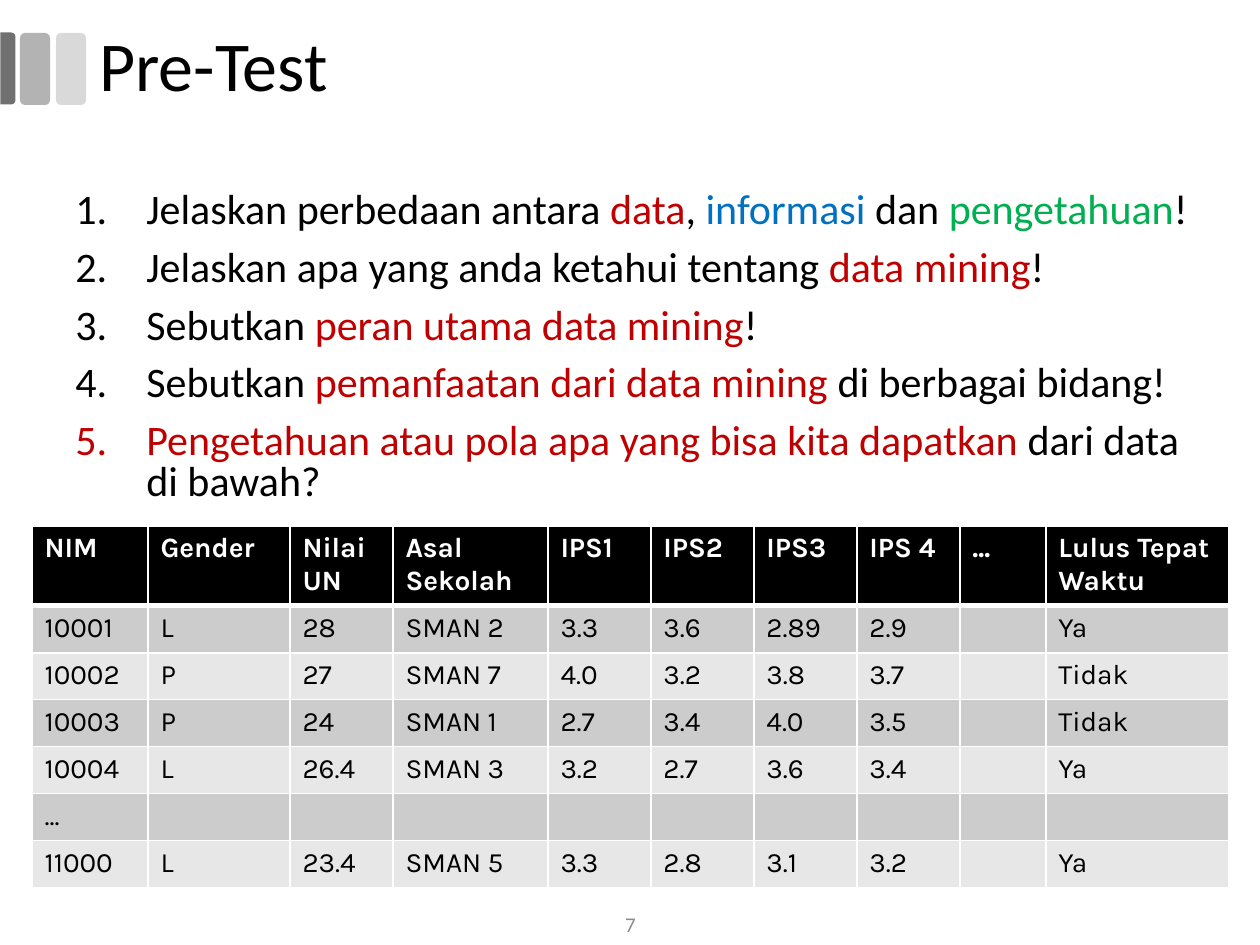
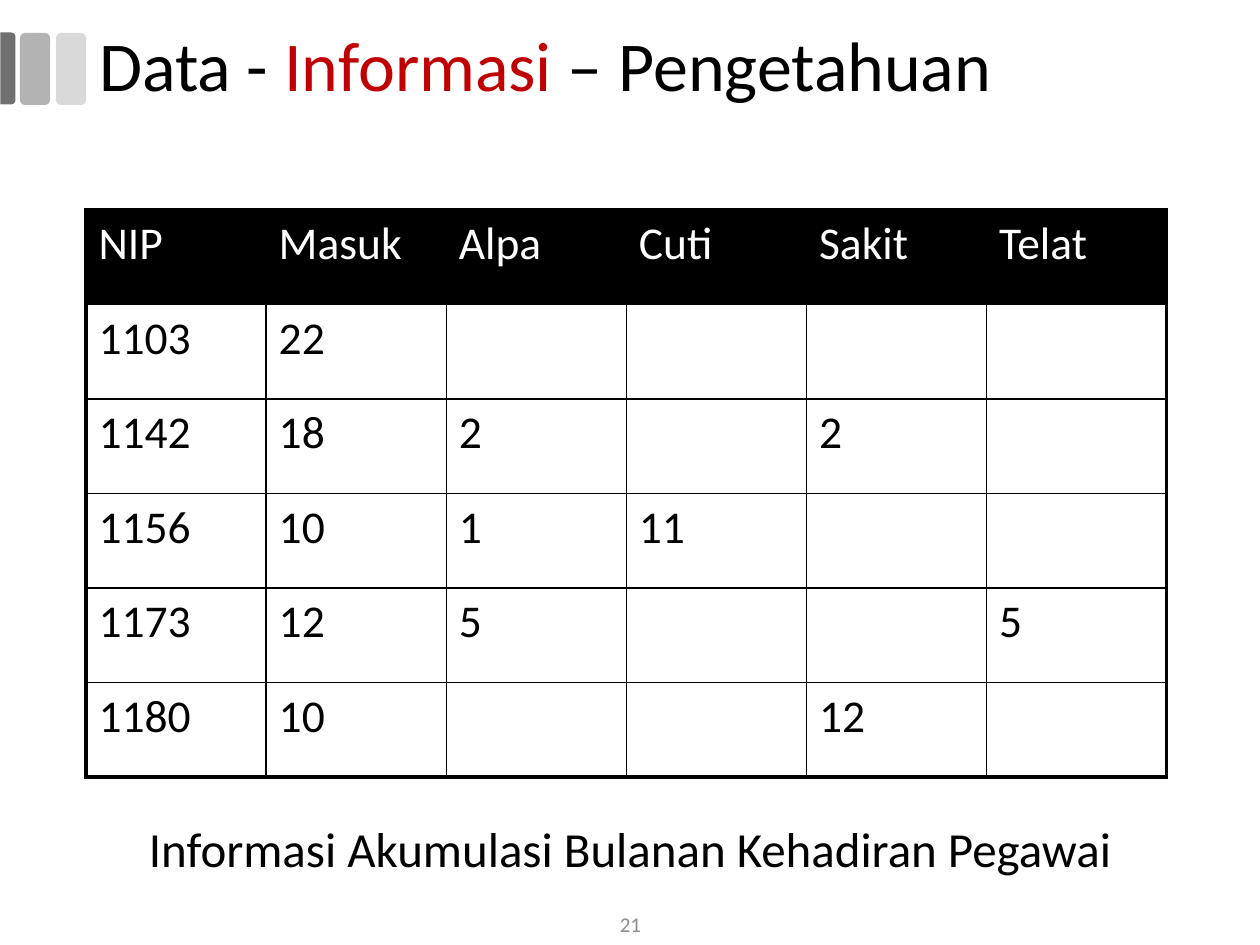
"""Build two lecture slides: a data mining pre-test and an attendance summary."""
from lxml import etree
from pptx import Presentation
from pptx.dml.color import RGBColor
from pptx.enum.shapes import MSO_SHAPE
from pptx.enum.text import MSO_ANCHOR, PP_ALIGN
from pptx.oxml.ns import qn
from pptx.util import Emu, Pt

BLACK = RGBColor(0x00, 0x00, 0x00)
WHITE = RGBColor(0xFF, 0xFF, 0xFF)
RED = RGBColor(0xC0, 0x00, 0x00)
BLUE = RGBColor(0x00, 0x70, 0xC0)
GREEN = RGBColor(0x00, 0xB0, 0x50)
FOOTER_GRAY = RGBColor(0x8C, 0x8C, 0x8C)
BAND_DARK = RGBColor(0xCC, 0xCC, 0xCC)
BAND_LIGHT = RGBColor(0xE7, 0xE7, 0xE7)
TAB_LIGHT = RGBColor(0xD9, 0xD9, 0xD9)
TAB_MIDDLE = RGBColor(0xB3, 0xB3, 0xB3)
TAB_DARK = RGBColor(0x70, 0x70, 0x70)

PRETEST_TITLE = ["Pre-Test"]
QUESTIONS = [
    ["Jelaskan perbedaan antara ", ("data", RED), ", ", ("informasi ", BLUE),
     "dan ", ("pengetahuan", GREEN), "!"],
    ["Jelaskan apa yang anda ketahui tentang ", ("data mining", RED), "!"],
    ["Sebutkan ", ("peran utama data mining", RED), "!"],
    ["Sebutkan ", ("pemanfaatan dari data mining ", RED), "di berbagai bidang!"],
    [("Pengetahuan atau pola apa yang bisa kita dapatkan ", RED),
     "dari data di bawah?"],
]
STUDENTS = [
    ["NIM", "Gender", "Nilai UN", "Asal Sekolah", "IPS1", "IPS2", "IPS3",
     "IPS 4", "...", "Lulus Tepat Waktu"],
    ["10001", "L", "28", "SMAN 2", "3.3", "3.6", "2.89", "2.9", "", "Ya"],
    ["10002", "P", "27", "SMAN 7", "4.0", "3.2", "3.8", "3.7", "", "Tidak"],
    ["10003", "P", "24", "SMAN 1", "2.7", "3.4", "4.0", "3.5", "", "Tidak"],
    ["10004", "L", "26.4", "SMAN 3", "3.2", "2.7", "3.6", "3.4", "", "Ya"],
    ["...", "", "", "", "", "", "", "", "", ""],
    ["11000", "L", "23.4", "SMAN 5", "3.3", "2.8", "3.1", "3.2", "", "Ya"],
]
STUDENT_COLUMNS = [116, 142, 103, 155, 103, 103, 103, 103, 86, 183]
STUDENT_ROWS = [77] + [47] * 6

ATTENDANCE_TITLE = ["Data - ", ("Informasi", RED), " – Pengetahuan"]
ATTENDANCE = [
    ["NIP", "Masuk", "Alpa", "Cuti", "Sakit", "Telat"],
    ["1103", "22", "", "", "", ""],
    ["1142", "18", "2", "", "2", ""],
    ["1156", "10", "1", "11", "", ""],
    ["1173", "12", "5", "", "", "5"],
    ["1180", "10", "", "", "12", ""],
]
ATTENDANCE_CAPTION = ["Informasi Akumulasi Bulanan Kehadiran Pegawai"]

TITLE_TABS = [
    (MSO_SHAPE.ROUNDED_RECTANGLE, (56, 33, 30, 72), 0, TAB_LIGHT),
    (MSO_SHAPE.ROUNDED_RECTANGLE, (20, 33, 30, 72), 0, TAB_MIDDLE),
    (MSO_SHAPE.ROUND_2_SAME_RECTANGLE, (-28, 61, 72, 15), 90, TAB_DARK),
]


def px(length):
    return Emu(round(length * 914400 / 126))


def write(frame, paragraphs, size, font="Calibri", color=BLACK, bold=False,
          align=PP_ALIGN.LEFT, line=None, before=0, numbered=False):
    for index, parts in enumerate(paragraphs):
        paragraph = frame.add_paragraph() if index else frame.paragraphs[0]
        if numbered:
            properties = paragraph._p.get_or_add_pPr()
            properties.set("marL", str(px(71)))
            properties.set("indent", str(-px(71)))
            etree.SubElement(properties, qn("a:buFont"), typeface="+mj-lt")
            etree.SubElement(properties, qn("a:buAutoNum"), type="arabicPeriod")
        paragraph.alignment = align
        if line:
            paragraph.line_spacing = line
        if index and before:
            paragraph.space_before = Pt(before)
        for part in parts:
            text, part_color = (part, color) if isinstance(part, str) else part
            if not text:
                etree.SubElement(paragraph._p, qn("a:endParaRPr"), sz=str(size * 100))
                continue
            run = paragraph.add_run()
            run.text = text
            run.font.size = Pt(size)
            run.font.name = font
            run.font.bold = bold
            run.font.color.rgb = part_color


def add_text(slide, box, paragraphs, size, anchor=MSO_ANCHOR.TOP, **style):
    frame = slide.shapes.add_textbox(*map(px, box)).text_frame
    frame.word_wrap = True
    frame.vertical_anchor = anchor
    write(frame, paragraphs, size, **style)


def add_border(cell, widths, color):
    properties = cell._tc.get_or_add_tcPr()
    for position, side in enumerate("LRTB"):
        edge = etree.Element(qn(f"a:ln{side}"), w=str(Pt(widths[side])))
        fill = etree.SubElement(edge, qn("a:solidFill"))
        etree.SubElement(fill, qn("a:srgbClr"), val=str(color))
        properties.insert(position, edge)


def add_grid(slide, box, records, size, bands, line_color, outer=1, under_header=1,
             header_bold=False, font="Calibri"):
    rows, columns = len(records), len(records[0])
    table = slide.shapes.add_table(rows, columns, *map(px, box)).table
    for r, record in enumerate(records):
        for c, text in enumerate(record):
            cell = table.cell(r, c)
            cell.fill.solid()
            cell.fill.fore_color.rgb = bands[(r - 1) % len(bands)] if r else BLACK
            write(cell.text_frame, [[text]], size, font=font,
                  color=BLACK if r else WHITE, bold=header_bold and r == 0)
            inner_top = under_header if r == 1 else 1
            inner_bottom = under_header if r == 0 else 1
            add_border(cell, {
                "L": outer if c == 0 else 1,
                "R": outer if c == columns - 1 else 1,
                "T": outer if r == 0 else inner_top,
                "B": outer if r == rows - 1 else inner_bottom,
            }, line_color)
    return table


def add_page(deck, title, number):
    slide = deck.slides.add_slide(deck.slide_layouts[6])
    for outline, box, rotation, color in TITLE_TABS:
        tab = slide.shapes.add_shape(outline, *map(px, box))
        tab.rotation = rotation
        tab.shadow.inherit = False
        tab.fill.solid()
        tab.fill.fore_color.rgb = color
        tab.line.fill.background()
        if rotation:
            tab.adjustments[0] = 0.29
    add_text(slide, (87, 21, 1173, 95), [title], 40, MSO_ANCHOR.MIDDLE, line=0.9)
    add_text(slide, (489, 903, 283, 42), [[number]], 12, MSO_ANCHOR.MIDDLE,
             color=FOOTER_GRAY, align=PP_ALIGN.CENTER)
    return slide


def main():
    deck = Presentation()
    deck.slide_width, deck.slide_height = px(1260), px(945)

    pretest = add_page(deck, PRETEST_TITLE, "7")
    add_text(pretest, (63, 186, 1157, 347), QUESTIONS, 24, line=0.8, before=10,
             numbered=True)
    students = add_grid(
        pretest, (32, 526, sum(STUDENT_COLUMNS), sum(STUDENT_ROWS)), STUDENTS, 16,
        [BAND_DARK, BAND_LIGHT], WHITE, under_header=3, header_bold=True, font="Karla")
    for column, width in zip(students.columns, STUDENT_COLUMNS):
        column.width = px(width)
    for row, height in zip(students.rows, STUDENT_ROWS):
        row.height = px(height)

    attendance = add_page(deck, ATTENDANCE_TITLE, "21")
    add_grid(attendance, (86, 210, 1081, 567), ATTENDANCE, 26, [WHITE], BLACK,
             outer=2.25)
    add_text(attendance, (87, 819, 1086, 78), [ATTENDANCE_CAPTION], 28,
             align=PP_ALIGN.CENTER, line=0.9)

    deck.save("out.pptx")


if __name__ == "__main__":
    main()
